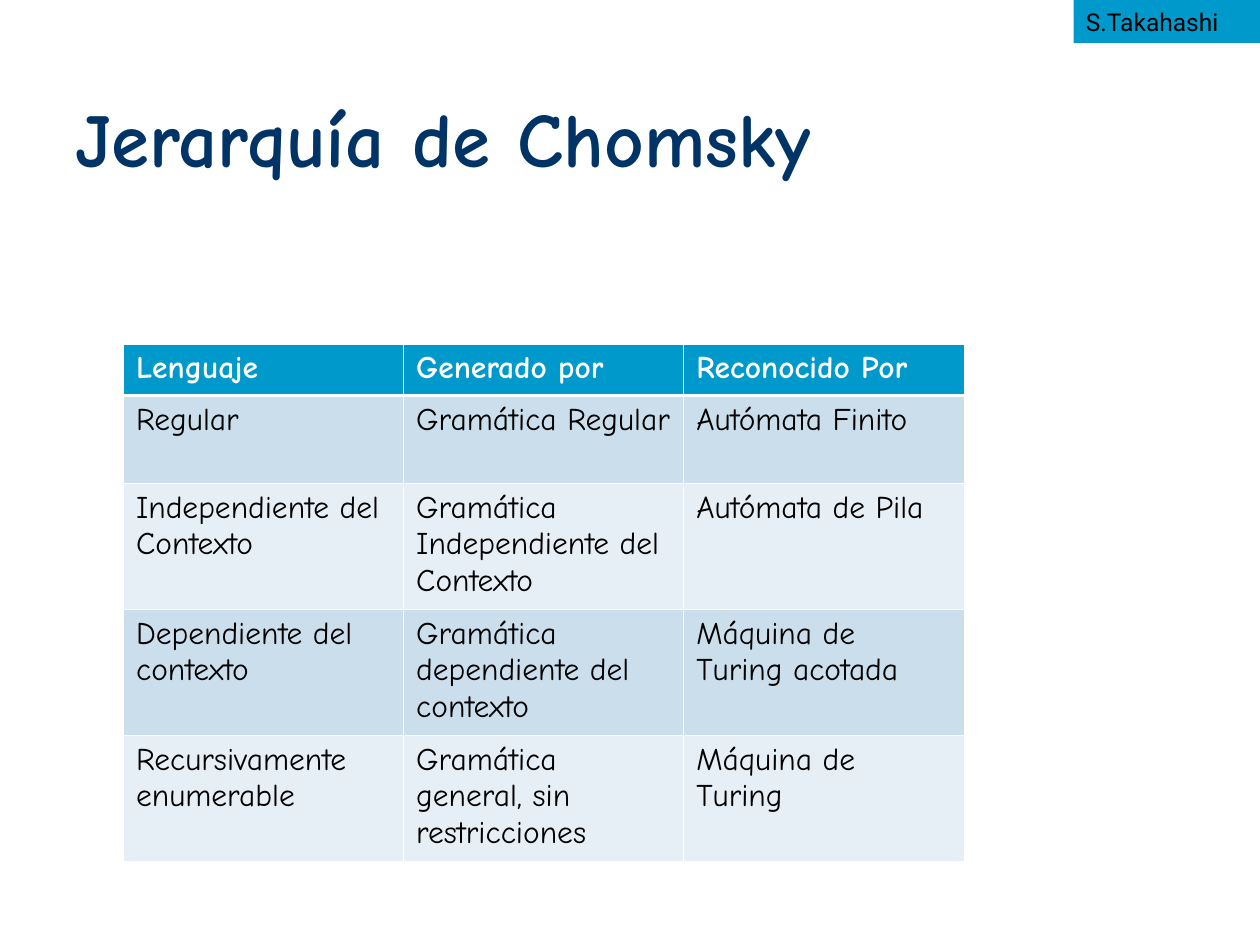
import pptx
import pptx.dml.color
import pptx.enum.shapes
import pptx.enum.text
import pptx.oxml
import pptx.oxml.ns
import pptx.util
from pptx.util import Inches

HEADING_FONT = "Comic Neue"
BLUE, NAVY, WHITE, BLACK = "0099CC", "003366", "FFFFFF", "000000"
BANDS = ("CBDEEC", "E7EFF6")

HIERARCHY = (
    ("Lenguaje", "Generado por", "Reconocido Por"),
    ("Regular", "Gramática Regular", "Autómata Finito"),
    ("Independiente del Contexto", "Gramática Independiente del Contexto",
     "Autómata de Pila"),
    ("Dependiente del contexto", "Gramática dependiente del contexto",
     "Máquina de Turing acotada"),
    ("Recursivamente enumerable", "Gramática general, sin restricciones",
     "Máquina de Turing"),
)
ROW_HEIGHTS = (0.41, 0.7, 1, 1, 1)


def color(value):
    return pptx.dml.color.RGBColor.from_string(value)


def fill_with(part, value):
    part.fill.solid()
    part.fill.fore_color.rgb = color(value)


def write(frame, text, size, font_name, font_color, bold=False):
    frame.text = text
    paragraph = frame.paragraphs[0]
    paragraph.alignment = pptx.enum.text.PP_ALIGN.LEFT
    paragraph.font.size = pptx.util.Pt(size)
    paragraph.font.name = font_name
    paragraph.font.bold = bold
    paragraph.font.color.rgb = color(font_color)


def set_borders(cell, **widths):
    """Draw white cell edges; widths are points by side."""
    properties = cell._tc.get_or_add_tcPr()
    # Edges must come before the fill
    for position, (side, width) in enumerate(widths.items()):
        edge = pptx.oxml.parse_xml(
            f'<a:ln{side} {pptx.oxml.ns.nsdecls("a")} w="{pptx.util.Pt(width)}">'
            f'<a:solidFill><a:srgbClr val="{WHITE}"/></a:solidFill></a:ln{side}>')
        properties.insert(position, edge)


def add_author_tag(slide, left, top, width, height):
    author = slide.shapes.add_shape(
        pptx.enum.shapes.MSO_SHAPE.RECTANGLE, left, top, width, height)
    author.shadow.inherit = False
    fill_with(author, BLUE)
    author.line.fill.background()
    author.text_frame.word_wrap = False
    write(author.text_frame, "S.Takahashi", 14, "Roboto", BLACK)


def add_title(slide, left, top, width, height):
    title = slide.shapes.title
    title.left, title.top, title.width, title.height = left, top, width, height
    frame = title.text_frame
    frame.auto_size = pptx.enum.text.MSO_AUTO_SIZE.NONE
    frame.vertical_anchor = pptx.enum.text.MSO_ANCHOR.BOTTOM
    write(frame, "Jerarquía de Chomsky", 44, HEADING_FONT, NAVY, bold=True)


def add_hierarchy_table(slide, left, top, width, height):
    table = slide.shapes.add_table(
        len(HIERARCHY), len(HIERARCHY[0]), left, top, width, height).table
    for column in table.columns:
        column.width = width // len(HIERARCHY[0])
    for index, (texts, row_height) in enumerate(zip(HIERARCHY, ROW_HEIGHTS)):
        table.rows[index].height = Inches(row_height)
        is_header = index == 0
        for cell, text in zip(table.rows[index].cells, texts):
            fill_with(cell, BLUE if is_header else BANDS[(index - 1) % 2])
            write(cell.text_frame, text, 18, HEADING_FONT,
                  WHITE if is_header else BLACK, bold=is_header)
            # A thicker rule separates the header from the body
            set_borders(cell, L=0.45, R=0.45,
                        T=1.47 if index == 1 else 0.45,
                        B=1.47 if is_header else 0.45)


def main():
    presentation = pptx.Presentation()
    presentation.slide_width = Inches(10)
    presentation.slide_height = Inches(7.5)
    slide = presentation.slides.add_slide(presentation.slide_layouts[5])

    add_author_tag(slide, Inches(8.52), 0, Inches(1.49), Inches(0.34))
    add_title(slide, Inches(0.5), Inches(0.25), Inches(9.06), Inches(1.25))
    add_hierarchy_table(slide, Inches(0.98), Inches(2.73),
                        Inches(6.67), Inches(sum(ROW_HEIGHTS)))
    presentation.save("out.pptx")


if __name__ == "__main__":
    main()
